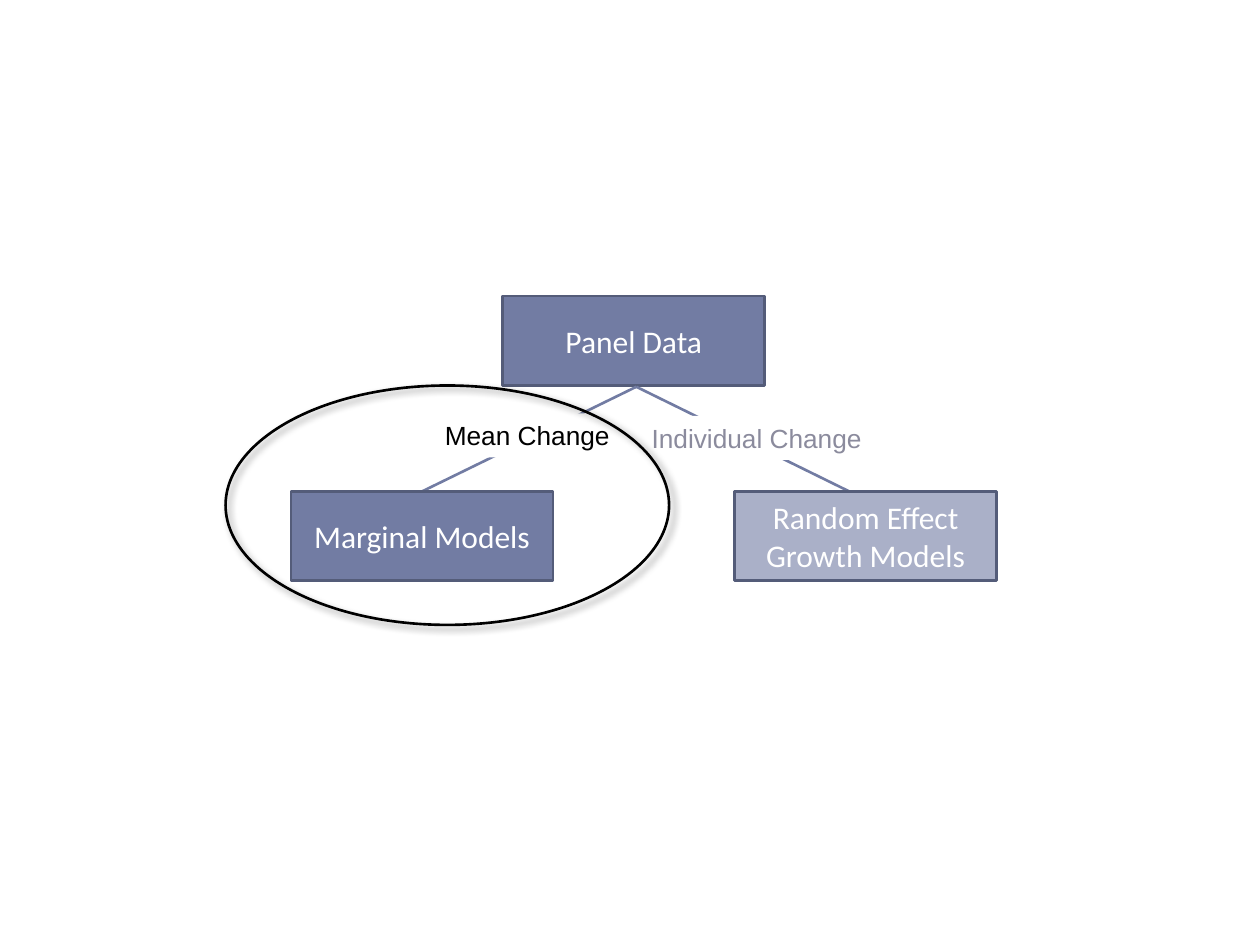
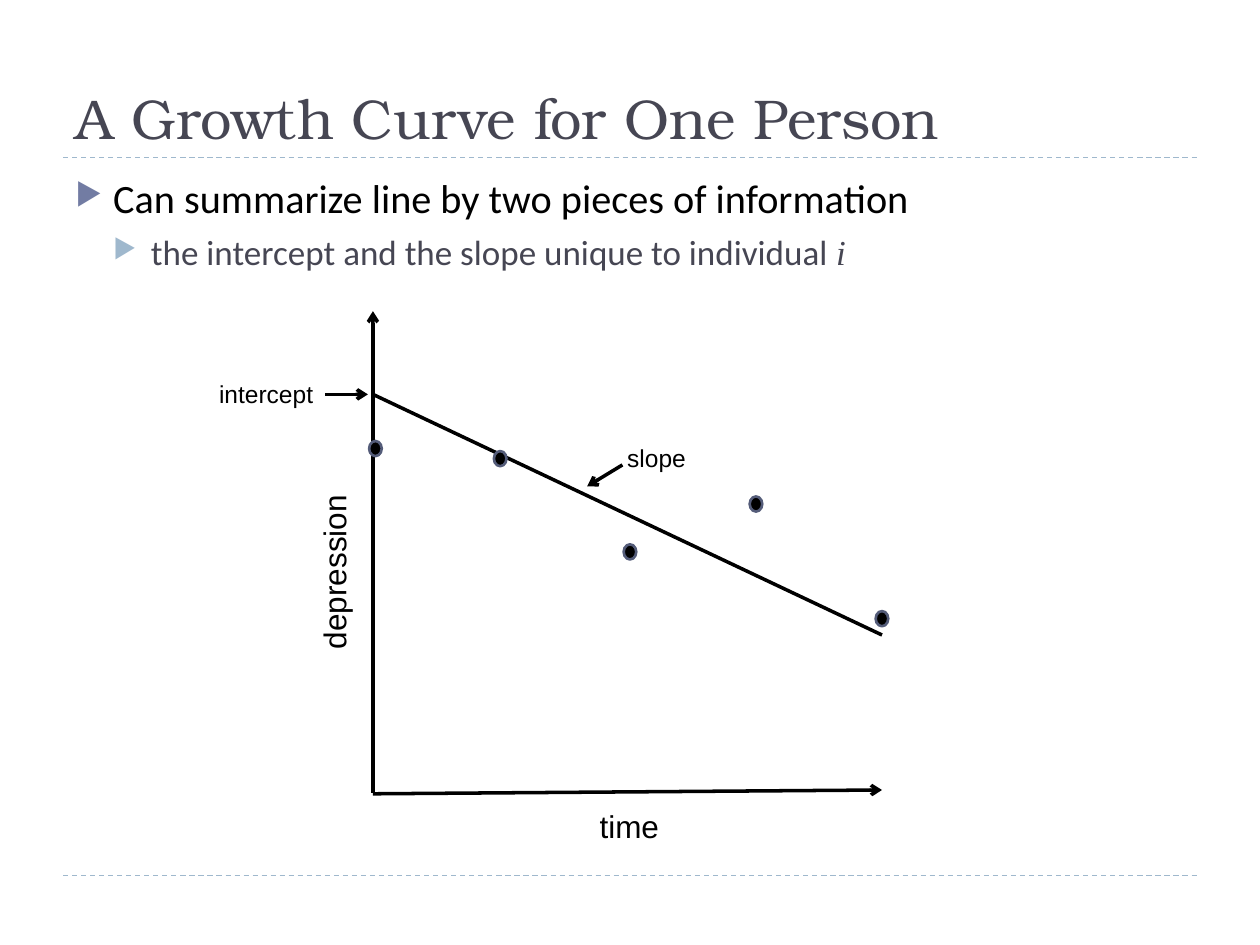
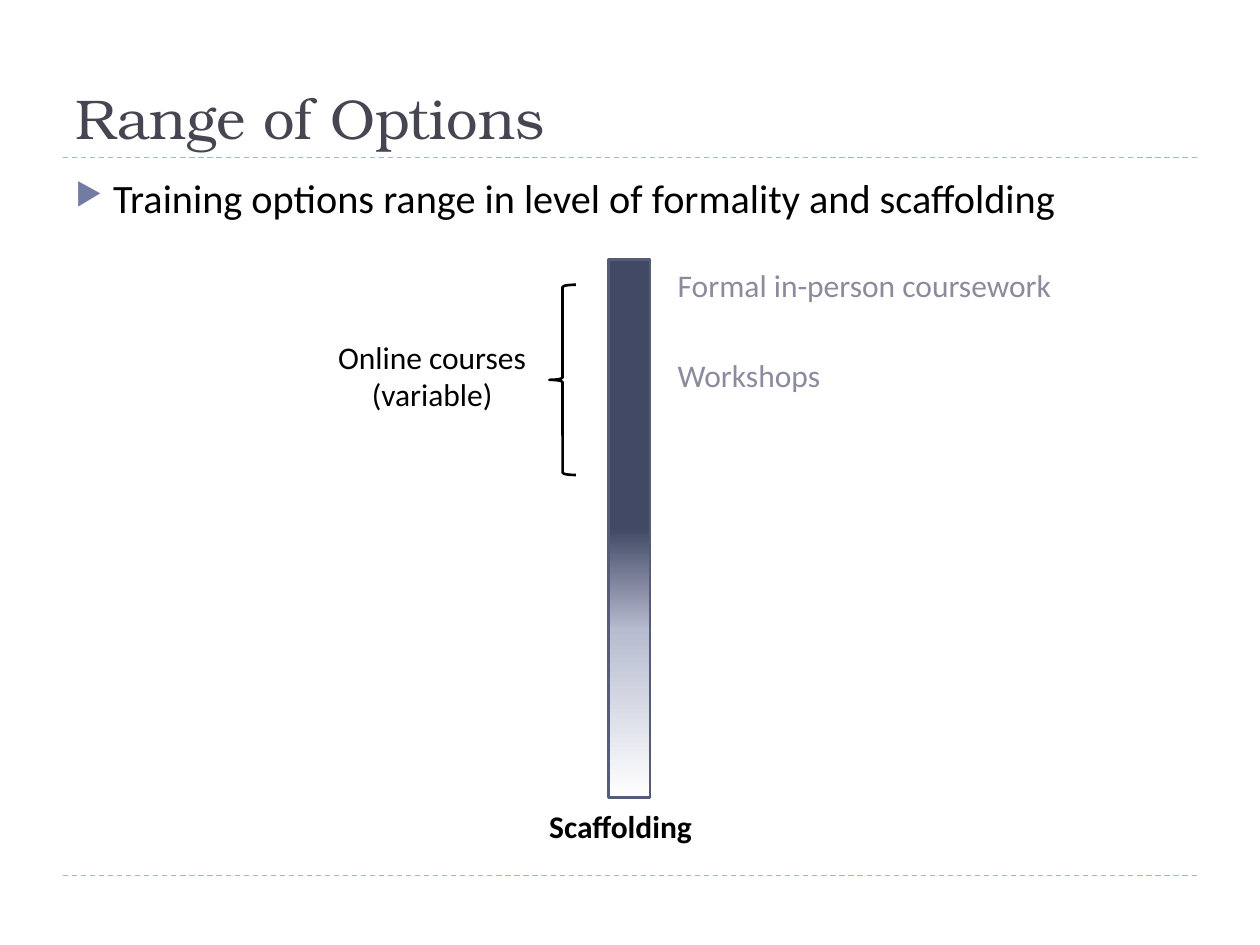
from lxml import etree
from pptx import Presentation
from pptx import util as u
from pptx.dml import color
from pptx.enum import dml, shapes, text
from pptx.oxml import ns, parse_xml

BLACK, WHITE = "000000", "FFFFFF"
SLATE, SLATE_DARK, SLATE_PALE = "727CA3", "545C79", "AAB0C8"
INK, MUTED, SKY = "464653", "8B8B9D", "9FB8CD"
BODY_FONT, LABEL_FONT, TITLE_FONT = "Calibri", "Arial", "TeX Gyre Bonum"

TITLE_BOX = (0.5, 0.17, 9, 1.08)
BODY_BOX = (0.5, 1.33, 9, 5.4)
RULE_TOPS = (1.25, 6.95)
TREE_BOX = (1.79, 2.35, 6.12, 2.61)
CURVE_BOX = (2.96, 2.47, 4.04, 3.82)
SCALE_BOX = (4.83, 2.06, 0.33, 4.27)

BULLETS = (
    {"size": 23, "ink": BLACK, "bullet": SLATE, "indent": 0.3, "before": 6},
    {"size": 20, "ink": INK, "bullet": SKY, "indent": 0.6, "before": 5},
)


def rgb(hex_value):
    return color.RGBColor.from_string(hex_value)


def apply(target, values):
    for name, value in values.items():
        setattr(target, name, value)


def inches(*lengths):
    return [u.Inches(length) for length in lengths]


def within(box, left, top, *size):
    return (box[0] + left, box[1] + top, *size)


def add_xml(parent, tag, **attributes):
    element = etree.SubElement(parent, ns.qn(tag))
    for name, value in attributes.items():
        element.set(name, str(value))
    return element


def set_outline(line, hex_value, width):
    line.color.rgb = rgb(hex_value)
    line.width = u.Pt(width)


def set_fill(shape, hex_value):
    if hex_value:
        shape.fill.solid()
        shape.fill.fore_color.rgb = rgb(hex_value)
    else:
        shape.fill.background()


def add_run(paragraph, words, size, ink, font=BODY_FONT, **values):
    run = paragraph.add_run()
    run.text = words
    run.font.color.rgb = rgb(ink)
    apply(run.font, {"name": font, "size": u.Pt(size), **values})


def add_shape(slide, kind, box, fill=None, outline=SLATE_DARK):
    shape = slide.shapes.add_shape(kind, *inches(*box))
    shape.shadow.inherit = False
    set_fill(shape, fill)
    set_outline(shape.line, outline, 1.5)
    return shape


def add_line(slide, start, end, ink=BLACK, width=2, arrow=False, dashed=False):
    connector = slide.shapes.add_connector(
        shapes.MSO_CONNECTOR.STRAIGHT, *inches(*start, *end))
    set_outline(connector.line, ink, width)
    if dashed:
        connector.line.dash_style = dml.MSO_LINE.DASH
    if arrow:
        add_xml(connector.line._get_or_add_ln(), "a:tailEnd", type="arrow")
    add_xml(connector._element.spPr, "a:effectLst")


def add_label(slide, box, words, size=18, ink=BLACK, font=BODY_FONT,
              fill=None, align=text.PP_ALIGN.LEFT, rotation=0, **values):
    label = slide.shapes.add_textbox(*inches(*box))
    label.rotation = rotation
    set_fill(label, fill)
    frame = label.text_frame
    frame.word_wrap = False
    for index, line in enumerate(words.split("\n")):
        paragraph = frame.add_paragraph() if index else frame.paragraphs[0]
        paragraph.alignment = align
        add_run(paragraph, line, size, ink, font, **values)


def add_node(slide, box, words, fill):
    node = add_shape(slide, shapes.MSO_SHAPE.RECTANGLE, box, fill)
    apply(node.text_frame, {"word_wrap": True,
                            "vertical_anchor": text.MSO_ANCHOR.MIDDLE})
    paragraph = node.text_frame.paragraphs[0]
    paragraph.alignment = text.PP_ALIGN.CENTER
    add_run(paragraph, words, 18, WHITE)


def add_soft_shadow(shape):
    shadow = add_xml(shape._element.spPr.find(ns.qn("a:effectLst")),
                     "a:outerShdw", blurRad=u.Pt(4), dist=u.Pt(3),
                     dir=45 * 60000, algn="tl", rotWithShape=0)
    tint = add_xml(shadow, "a:srgbClr", val=BLACK)
    add_xml(tint, "a:alpha", val=40000)


def set_gradient(shape, stops):
    gradient = parse_xml(f"<a:gradFill {ns.nsdecls('a')} rotWithShape='1'/>")
    stop_list = add_xml(gradient, "a:gsLst")
    for percent, hex_value in stops:
        stop = add_xml(stop_list, "a:gs", pos=percent * 1000)
        add_xml(stop, "a:srgbClr", val=hex_value)
    add_xml(gradient, "a:lin", ang=90 * 60000, scaled=0)
    properties = shape._element.spPr
    properties.replace(properties.find(ns.qn("a:noFill")), gradient)


def add_titled_slide(presentation, title):
    slide = presentation.slides.add_slide(presentation.slide_layouts[5])
    left, _, width, _ = TITLE_BOX
    for top in RULE_TOPS:
        add_line(slide, (left, top), (left + width, top), SKY, 0.75, dashed=True)
    placeholder = slide.shapes.title
    apply(placeholder, dict(zip(("left", "top", "width", "height"),
                                inches(*TITLE_BOX))))
    frame = placeholder.text_frame
    apply(frame, {"word_wrap": True, "auto_size": text.MSO_AUTO_SIZE.NONE,
                  "vertical_anchor": text.MSO_ANCHOR.BOTTOM})
    paragraph = frame.paragraphs[0]
    paragraph.alignment = text.PP_ALIGN.LEFT
    add_run(paragraph, title, 32, INK, TITLE_FONT)
    return slide


def add_body(slide, box, lines):
    frame = slide.shapes.add_textbox(*inches(*box)).text_frame
    frame.word_wrap = True
    for index, (level, words) in enumerate(lines):
        style = BULLETS[level]
        paragraph = frame.add_paragraph() if index else frame.paragraphs[0]
        apply(paragraph, {"level": level, "space_before": u.Pt(style["before"])})
        properties = paragraph._p.get_or_add_pPr()
        properties.set("marL", str(u.Inches(style["indent"])))
        properties.set("indent", str(u.Inches(-0.3)))
        tint = add_xml(properties, "a:buClr")
        add_xml(tint, "a:srgbClr", val=style["bullet"])
        add_xml(properties, "a:buSzPct", val=76000)
        add_xml(properties, "a:buChar", char="▶")
        add_run(paragraph, words, style["size"], style["ink"])
    return frame


def add_model_tree(slide, box):
    node_size = (2.08, 0.71)
    fork = within(box, 3.26, 0.72)
    add_node(slide, within(box, 2.2, 0, *node_size), "Panel Data", SLATE)
    branches = (
        (0.52, 1.56, "Marginal Models", SLATE),
        (4.04, 4.95, "Random Effect Growth Models", SLATE_PALE),
    )
    for left, tip, words, fill in branches:
        add_line(slide, fork, within(box, tip, 1.55), SLATE, 1.5)
        add_node(slide, within(box, left, 1.55, *node_size), words, fill)
    changes = (
        (1.63, 0.93, 1.53, "Mean Change", BLACK),
        (3.27, 0.95, 1.89, "Individual Change", MUTED),
    )
    for left, top, width, words, ink in changes:
        add_label(slide, within(box, left, top, width, 0.35), words, 15, ink,
                  LABEL_FONT, WHITE, text.PP_ALIGN.CENTER)
    focus = add_shape(slide, shapes.MSO_SHAPE.OVAL,
                      within(box, 0, 0.71, 3.52, 1.9), outline=BLACK)
    add_soft_shadow(focus)


def add_growth_curve(slide, box):
    width, height = box[2:]
    arrows = (
        ((0, height + 0.01), (width, height - 0.02)),
        ((0, height), (0, 0)),
        ((-0.38, 0.66), (-0.04, 0.66)),
        ((1.98, 1.22), (1.7, 1.39)),
    )
    for start, end in arrows:
        add_line(slide, within(box, *start), within(box, *end), arrow=True)
    add_line(slide, within(box, 0, 0.66), within(box, width, 2.57))
    observations = ((-0.03, 1.03), (0.96, 1.11), (1.99, 1.85),
                    (2.99, 1.47), (3.99, 2.38))
    for left, top in observations:
        add_shape(slide, shapes.MSO_SHAPE.OVAL,
                  within(box, left, top, 0.1, 0.12), BLACK)
    labels = (
        ("time", (1.7, 3.89, 0.68, 0.4), 18, 0),
        ("depression", (-1.03, 1.86, 1.44, 0.4), 18, 270),
        ("intercept", (-1.32, 0.49, 1.23, 0.34), 14, 0),
        ("slope", (1.92, 1, 1.23, 0.34), 14, 0),
    )
    for words, place, size, rotation in labels:
        add_label(slide, within(box, *place), words, size, font=LABEL_FONT,
                  rotation=rotation)


def add_scaffolding_scale(slide, box):
    bar = add_shape(slide, shapes.MSO_SHAPE.RECTANGLE, box)
    set_gradient(bar, ((0, "424965"), (50, "424965"), (69, "B7BCD0"), (100, WHITE)))
    for top, width, words in ((0, 3.25, "Formal in-person coursework"),
                              (0.72, 1.39, "Workshops")):
        add_label(slide, within(box, 0.45, top, width, 0.4), words, ink=MUTED)
    add_label(slide, within(box, -2.28, 0.57, 1.76, 0.71),
              "Online courses\n(variable)", align=text.PP_ALIGN.CENTER)
    add_shape(slide, shapes.MSO_SHAPE.LEFT_BRACE,
              within(box, -0.47, 0.2, 0.21, 1.51), WHITE, BLACK)
    add_label(slide, within(box, -0.57, 4.3, 1.48, 0.4), "Scaffolding", bold=True)


def main():
    presentation = Presentation()
    apply(presentation, {"slide_width": u.Inches(10), "slide_height": u.Inches(7.5)})

    tree_slide = presentation.slides.add_slide(presentation.slide_layouts[6])
    add_model_tree(tree_slide, TREE_BOX)

    curve_slide = add_titled_slide(presentation, "A Growth Curve for One Person")
    body = add_body(curve_slide, BODY_BOX, (
        (0, "Can summarize line by two pieces of information"),
        (1, "the intercept and the slope unique to individual "),
    ))
    add_run(body.paragraphs[-1], "i", 20, INK, "Times New Roman", italic=True)
    add_growth_curve(curve_slide, CURVE_BOX)

    options_slide = add_titled_slide(presentation, "Range of Options")
    add_body(options_slide, BODY_BOX, (
        (0, "Training options range in level of formality and scaffolding"),
    ))
    add_scaffolding_scale(options_slide, SCALE_BOX)

    presentation.save("out.pptx")


if __name__ == "__main__":
    main()
